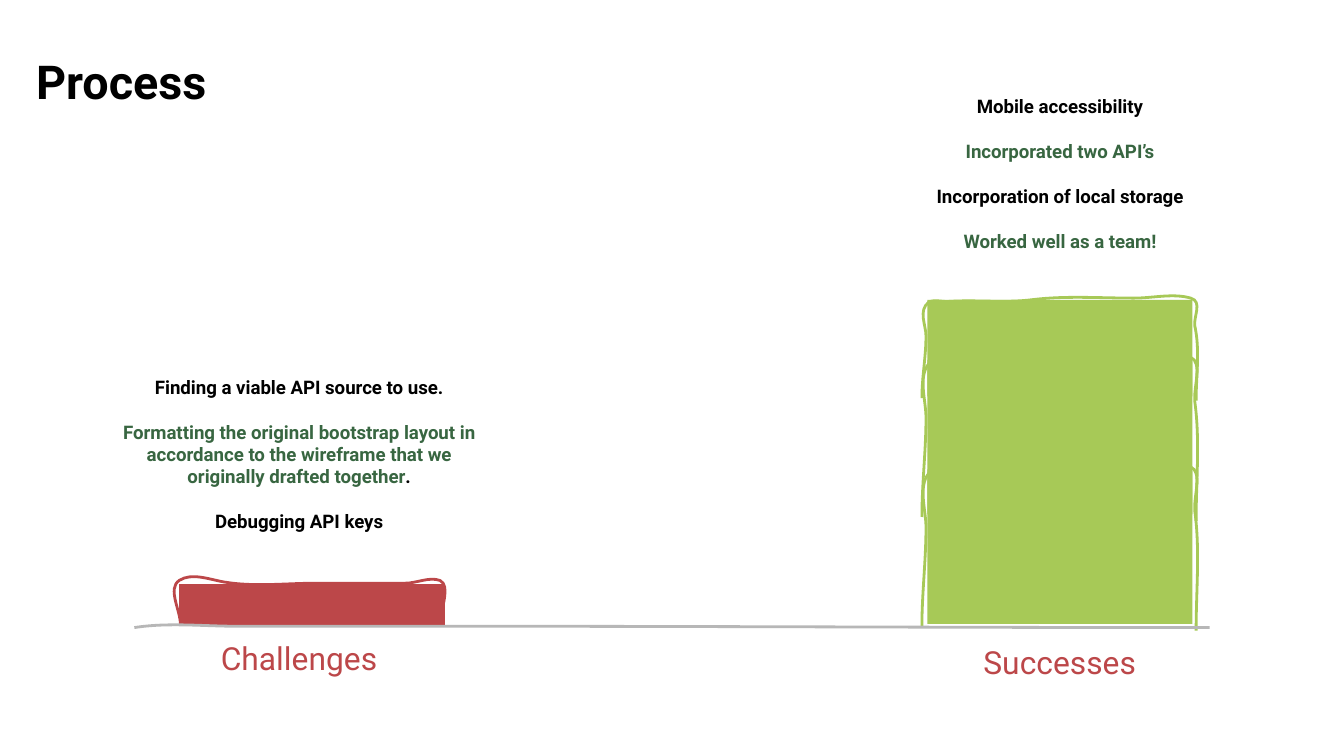
"""Build the Process slide, which compares challenges with successes."""
from typing import NamedTuple

from lxml import etree
from pptx import Presentation
from pptx.dml.color import RGBColor
from pptx.enum import shapes, text
from pptx.oxml import ns
from pptx.util import Pt

FONT = "Roboto"
BLACK, DARK_GREEN, RED, GREEN, GRAY = "000000", "386641", "BC4749", "A7C957", "B7B7B7"
BAR_WIDTH = 142

Point = tuple[float, float]

BASELINE = [(72, 336.2), (90, 333.4), (108.7, 335.5), (127.4, 335.5),
            (169.9, 335.5), (212.4, 335.5), (254.9, 335.5),
            (385.9, 335.5), (517, 336.2), (648, 336.2)]
LOW_SKETCH = [(0.7, 21.6), (0.7, 13.7), (-6.5, 2.2), (0, -2.2),
              (6.5, -6.5), (15.8, -2.9), (23.8, -1.4),
              (40.3, 1.4), (56.9, -0.7), (73.4, -0.7),
              (89.3, -0.7), (105.1, -0.7), (121, -0.7),
              (127.4, -0.7), (133.9, -4.3), (139.7, -2.2),
              (145.4, 0.7), (140.4, 11.5), (140.4, 18.7)]
TALL_SKETCH = [(-2.9, 84.2), (-2.9, 66.2), (-0.7, 49), (-0.7, 31),
               (-0.7, 21.6), (-5, 9.4), (0.7, 2.2),
               (3.6, -0.7), (8.6, 2.2), (12.2, 1.4),
               (26.6, 0), (41.8, 2.9), (56.2, 0),
               (74.2, -3.6), (92.2, -1.4), (110.9, -1.4),
               (121, -1.4), (131.8, -5.8), (141.1, -1.4),
               (147.6, 1.4), (142.6, 14.4), (143.3, 22.3),
               (146.2, 43.2), (144, 64.8), (144, 86.4)]


class Bar(NamedTuple):
    left: float
    top: float
    height: float
    color: str
    sketch: list[Point]
    sketch_height: float
    border: float = 0


class Label(NamedTuple):
    left: float
    top: float
    width: float
    height: float
    paragraphs: list[list[tuple[str, str]]]
    size: float
    bold: bool = False
    bottom: float = 7.2


BARS = [
    Bar(96, 313.2, 21.6, RED, LOW_SKETCH, 21.6, 0.75),
    Bar(496.8, 251.5, 82.8, GREEN, TALL_SKETCH, 82.8),
    Bar(496.8, 192.8, 82.8, GREEN, TALL_SKETCH, 82.8),
    Bar(496.8, 160.6, 51.8, GREEN, TALL_SKETCH, 82.8),
]

LABELS = [
    Label(97.6, 337.7, 125.3, 29.5, [[("Challenges", RED)]], 17),
    Label(50.1, 203, 220.3, 95, [
        [("Finding a viable API source to use.", BLACK)],
        [("Formatting the original bootstrap layout in accordance to the "
          "wireframe that we originally drafted together", DARK_GREEN), (".", BLACK)],
        [("Debugging API keys", BLACK)],
    ], 10, True, 21.7),
    Label(505.1, 339.8, 125.3, 29.5, [[("Successes", RED)]], 17),
    Label(487.9, 51.1, 159.8, 95, [
        [("Mobile accessibility", BLACK)],
        [("Incorporated two API’s", DARK_GREEN)],
        [("Incorporation of local storage", BLACK)],
        [("Worked well as a team!", DARK_GREEN)],
    ], 10, True, 18.4),
]


def rgb(value: str) -> RGBColor:
    return RGBColor.from_string(value)


def draw_curve(s, points: list[Point], color: str) -> None:
    spots = [(Pt(x), Pt(y)) for x, y in points]
    builder = s.shapes.build_freeform(*spots[0], scale=1.0)
    builder.add_line_segments(spots[3::3], close=False)
    sp = builder.convert_to_shape()
    lines = list(sp._element.iter(ns.qn("a:lnTo")))
    for i, line in enumerate(lines):
        curve = etree.Element(ns.qn("a:cubicBezTo"))
        for x, y in spots[3 * i + 1:3 * i + 4]:
            etree.SubElement(curve, ns.qn("a:pt"), x=str(x - sp.left), y=str(y - sp.top))
        line.getparent().replace(line, curve)
    sp.shadow.inherit = False
    sp.fill.background()
    sp.line.color.rgb = rgb(color)
    sp.line.width = Pt(1.5)


def draw_bar(s, bar: Bar) -> None:
    group = s.shapes.add_group_shape()
    sp = group.shapes.add_shape(shapes.MSO_SHAPE.RECTANGLE, Pt(bar.left), Pt(bar.top),
                                Pt(BAR_WIDTH), Pt(bar.height))
    sp.shadow.inherit = False
    sp.fill.solid()
    sp.fill.fore_color.rgb = rgb(bar.color)
    if bar.border:
        sp.line.color.rgb = rgb(bar.color)
        sp.line.width = Pt(bar.border)
    else:
        sp.line.fill.background()
    scale = bar.height / bar.sketch_height
    draw_curve(group, [(bar.left + x, bar.top + y * scale) for x, y in bar.sketch], bar.color)


def add_run(p, content: str, *, size: float, color: str, bold: bool) -> None:
    r = p.add_run()
    r.text = content
    r.font.name = FONT
    r.font.size = Pt(size)
    r.font.bold = bold
    r.font.color.rgb = rgb(color)


def set_frame(tf, bottom: float = 7.2) -> None:
    tf.word_wrap = True
    tf.auto_size = text.MSO_AUTO_SIZE.NONE
    tf.vertical_anchor = text.MSO_ANCHOR.MIDDLE
    tf.margin_left = tf.margin_right = tf.margin_top = Pt(7.2)
    tf.margin_bottom = Pt(bottom)


def draw_label(s, label: Label) -> None:
    tf = s.shapes.add_textbox(Pt(label.left), Pt(label.top),
                              Pt(label.width), Pt(label.height)).text_frame
    set_frame(tf, label.bottom)
    for i, runs in enumerate(label.paragraphs):
        p = tf.add_paragraph() if i else tf.paragraphs[0]
        p.alignment = text.PP_ALIGN.CENTER
        if i:
            p.space_before = Pt(12)
        for content, color in runs:
            add_run(p, content, size=label.size, color=color, bold=label.bold)


def draw_title(s, content: str) -> None:
    sp = s.shapes.title
    sp.left, sp.top, sp.width, sp.height = Pt(12.2), Pt(13.7), Pt(267.1), Pt(59)
    outline = etree.SubElement(sp._element.spPr, ns.qn("a:prstGeom"), prst="roundRect")
    etree.SubElement(outline, ns.qn("a:avLst"))
    set_frame(sp.text_frame)
    p = sp.text_frame.paragraphs[0]
    p.alignment = text.PP_ALIGN.LEFT
    add_run(p, content, size=25, color=BLACK, bold=True)


def main() -> None:
    prs = Presentation()
    prs.slide_width, prs.slide_height = Pt(720), Pt(405)
    s = prs.slides.add_slide(prs.slide_layouts[5])
    draw_title(s, "Process")
    for bar in BARS[:2]:
        draw_bar(s, bar)
    draw_curve(s, BASELINE, GRAY)
    for bar in BARS[2:]:
        draw_bar(s, bar)
    for label in LABELS:
        draw_label(s, label)
    prs.save("out.pptx")


if __name__ == "__main__":
    main()
